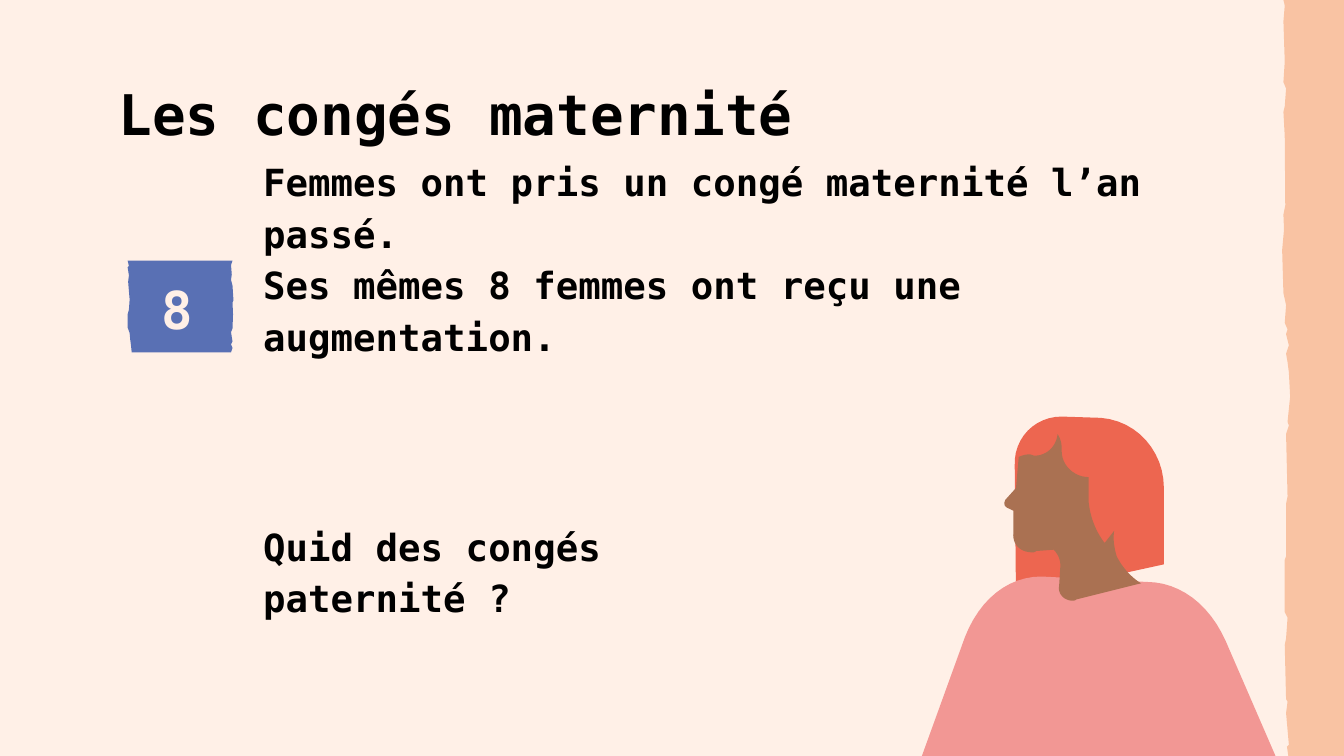
"""Builds the slide on maternity leave, with lengths in points."""
from lxml import etree
from pptx import Presentation, util as u
from pptx.dml.color import RGBColor
from pptx.enum import text as t
from pptx.oxml import ns

HUES = {"paper": "FFF0E7", "ink": "000000", "blue": "5970B4", "edge": "F4965D",
        "hair": "ED6650", "cloak": "F29794", "skin": "AA7152"}
FONT = "DejaVu Sans Mono"

EDGE = [
    (720, 0), (687.6, 0), (688.3, 3), (687.6, 11.5), (688.3, 33), (687.6, 44),
    (689, 47.5), (688.3, 57), (687.6, 60), (688.3, 73), (688.6, 110),
    (687.6, 115), (687.9, 123), (686.9, 134), (687.6, 157), (689, 163.5),
    (688.3, 173), (689.8, 176.5), (689, 179), (690.5, 185), (689, 189.5),
    (689.8, 194), (690.5, 199.5), (691.2, 212.5), (689.8, 226), (690.5, 228),
    (689, 232.5), (689.8, 266), (689, 270), (689, 298), (688.3, 300),
    (688.3, 328), (689.8, 331), (689, 342), (688.3, 345.5), (689, 374.5),
    (689.8, 376), (689, 382), (690.5, 399), (689.5, 400), (690.2, 405), (720, 405)]
TILE = [
    (68.4, 139.7), (69.1, 142.5), (68.4, 143.3), (69.1, 147.5), (68.7, 151),
    (69.1, 156), (69.5, 160.5), (69.1, 166), (68.4, 168.5), (68.4, 175.5),
    (69.5, 178.5), (69.8, 182), (70.2, 185), (70.6, 188.8), (123.8, 188.8),
    (124.6, 186.5), (123.8, 184.5), (124.6, 183), (123.8, 178), (124.6, 176),
    (124.9, 168.5), (124.6, 162), (125.1, 161), (124.6, 153), (123.8, 150),
    (124.2, 147), (123.8, 142), (124.6, 139.7)]
HAIR = [
    (568.8, 223.2), (589.7, 223.9), (609.1, 225.4, 623.5, 241.9, 623.5, 261.4),
    (623.5, 302.4), (544.3, 319.7), (543.6, 249.8),
    (542.9, 234.7, 554.4, 223.2, 568.8, 223.2)]
CLOAK = [
    (558, 308.9), (614.2, 311.8), (632.2, 311.8, 648, 324, 656.6, 343.4),
    (683.3, 405), (493.9, 405), (517, 341.3),
    (524.9, 321.1, 540, 308.9, 558, 308.9)]
FACE = [
    (566.6, 232.6), (568.1, 234.7, 568.8, 237.6, 568.8, 240.5), (568.8, 241.9),
    (568.8, 249.1, 575.3, 255.6, 583.2, 255.6), (583.2, 268.6),
    (583.9, 276.5, 586.8, 284.4, 591.8, 290.9), (596.9, 284.4),
    (596.2, 288.7, 596.9, 293.8, 598.3, 298.1),
    (601.2, 303.8, 605.5, 308.9, 611.3, 312.5), (576.7, 321.1),
    (576, 321.8, 575.3, 321.8, 574.6, 321.8),
    (570.2, 321.8, 566.6, 318.2, 567.4, 313.9), (568.1, 303.1),
    (568.1, 299.5, 566.6, 296.6, 564.5, 294.5), (555.1, 295.2),
    (554.4, 295.9, 553.7, 295.9, 553, 295.9),
    (546.5, 295.9, 542.2, 291.6, 542.9, 285.1), (542.9, 273.6), (540, 272.2),
    (537.8, 271.4, 537.8, 269.3, 538.6, 267.8), (544.3, 261.4), (545.8, 244.8),
    (547.2, 244.1, 549.4, 243.4, 551.5, 243.4),
    (552.5, 243.4, 553.3, 244.1, 554.4, 244.1),
    (560.9, 244.1, 565.9, 239, 566.6, 232.6)]


def trace(path, steps=12):
    """Turns line and curve segments into a list of points."""
    dots = [path[0]]
    for seg in path[1:]:
        if len(seg) == 2:
            dots.append(seg)
            continue
        ends = [dots[-1], seg[:2], seg[2:4], seg[4:]]
        for k in range(1, steps + 1):
            b = k / steps
            a = 1 - b
            parts = (a ** 3, 3 * a * a * b, 3 * a * b * b, b ** 3)
            dots.append(tuple(sum(w * p[i] for w, p in zip(parts, ends))
                              for i in (0, 1)))
    return dots


class Deck:
    """Holds the style and the current slide."""

    def __init__(self, wide, high):
        """Opens a title-only slide of the given size."""
        self.prs = Presentation()
        self.prs.slide_width, self.prs.slide_height = u.Pt(wide), u.Pt(high)
        self.slide = self.prs.slides.add_slide(self.prs.slide_layouts[5])
        self.paint(self.slide.background.fill, "paper")

    def paint(self, fill, hue):
        """Sets a solid fill."""
        fill.solid()
        fill.fore_color.rgb = RGBColor.from_string(HUES[hue])

    def shape(self, path, hue, alpha=None):
        """Draws a closed outline."""
        dots = [(x * 100, y * 100) for x, y in trace(path)]
        pen = self.slide.shapes.build_freeform(*dots[0], scale=u.Pt(1) / 100)
        pen.add_line_segments(dots[1:], close=True)
        form = pen.convert_to_shape()
        form.shadow.inherit = False
        form.line.fill.background()
        self.paint(form.fill, hue)
        if alpha:
            tint = form.element.spPr.find(".//" + ns.qn("a:srgbClr"))
            etree.SubElement(tint, ns.qn("a:alpha"), val=str(alpha * 1000))

    def title(self, box, line, size):
        """Fills the title placeholder."""
        self.label(self.slide.shapes.title, box, [line], size)

    def text(self, box, lines, size, **looks):
        """Adds a text box."""
        self.label(self.slide.shapes.add_textbox(0, 0, 0, 0), box, lines, size, **looks)

    def label(self, item, box, lines, size, hue="ink", gap=1.0, anchor="TOP"):
        """Places and formats the text of an item."""
        for key, val in zip(("left", "top", "width", "height"), box):
            setattr(item, key, u.Pt(val))
        frame = item.text_frame
        sides = {f"margin_{s}": u.Pt(7.2) for s in ("left", "top", "right", "bottom")}
        looks = {"word_wrap": True, "auto_size": t.MSO_AUTO_SIZE.NONE,
                 "vertical_anchor": t.MSO_ANCHOR[anchor], **sides}
        for key, val in looks.items():
            setattr(frame, key, val)
        style = {"name": FONT, "size": u.Pt(size), "bold": True}
        frame.text = "\n".join(lines)
        for para in frame.paragraphs:
            para.alignment, para.line_spacing = t.PP_ALIGN.LEFT, gap
            para.space_before = u.Pt(0)
            for run in para.runs:
                for key, val in style.items():
                    setattr(run.font, key, val)
                run.font.color.rgb = RGBColor.from_string(HUES[hue])


def main():
    """Builds and saves the slide."""
    deck = Deck(720, 405)
    deck.shape(EDGE, "edge", alpha=49)
    for path, hue in ((HAIR, "hair"), (CLOAK, "cloak"), (FACE, "skin"), (TILE, "blue")):
        deck.shape(path, hue)
    deck.title((56.2, 35.3, 607.7, 45.4), "Les congés maternité", 30)
    deck.text((79.2, 141.1, 74.9, 28.8), ["8"], 28, hue="paper")
    deck.text((133.9, 149.8, 491.8, 49.7),
              ["Femmes ont pris un congé maternité l’an passé.",
               "Ses mêmes 8 femmes ont reçu une augmentation."],
              20, gap=1.15, anchor="BOTTOM")
    deck.text((133.9, 270, 306.7, 45.4), ["Quid des congés paternité ?"], 20, gap=1.15)
    deck.prs.save("out.pptx")


if __name__ == "__main__":
    main()
